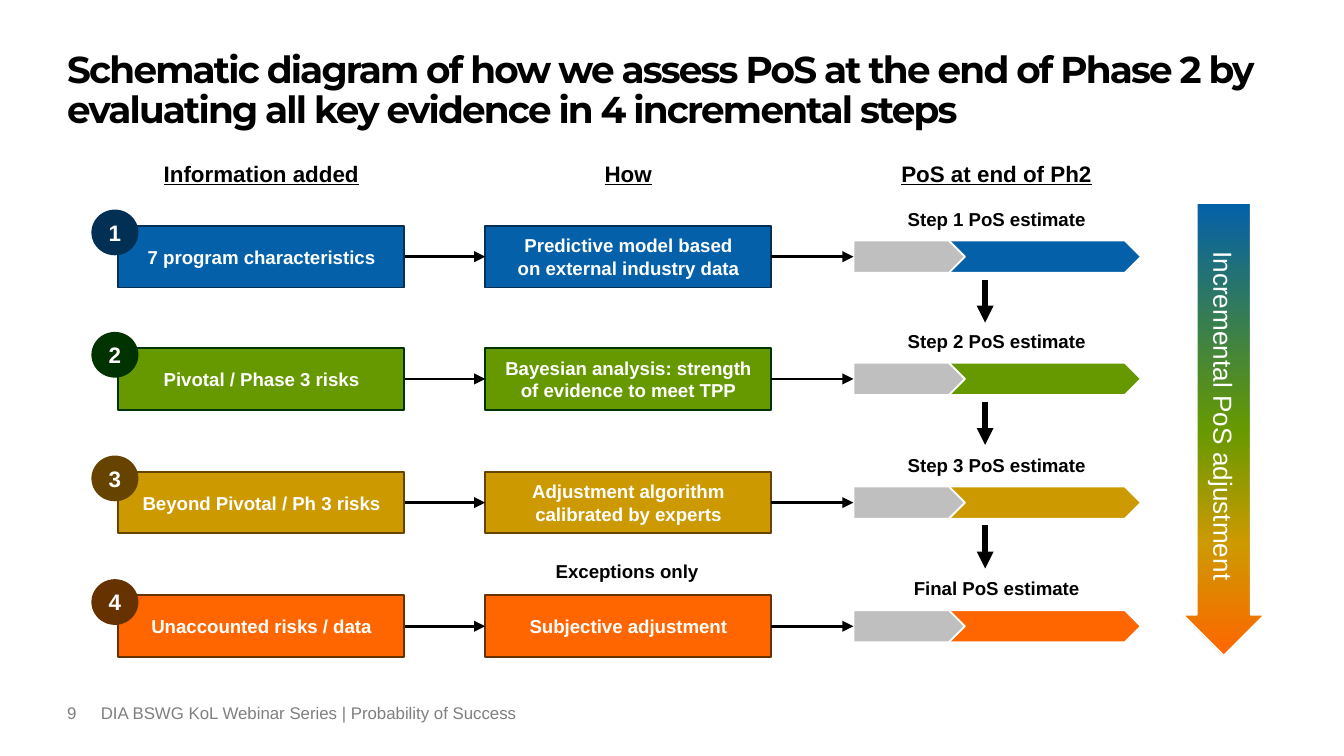
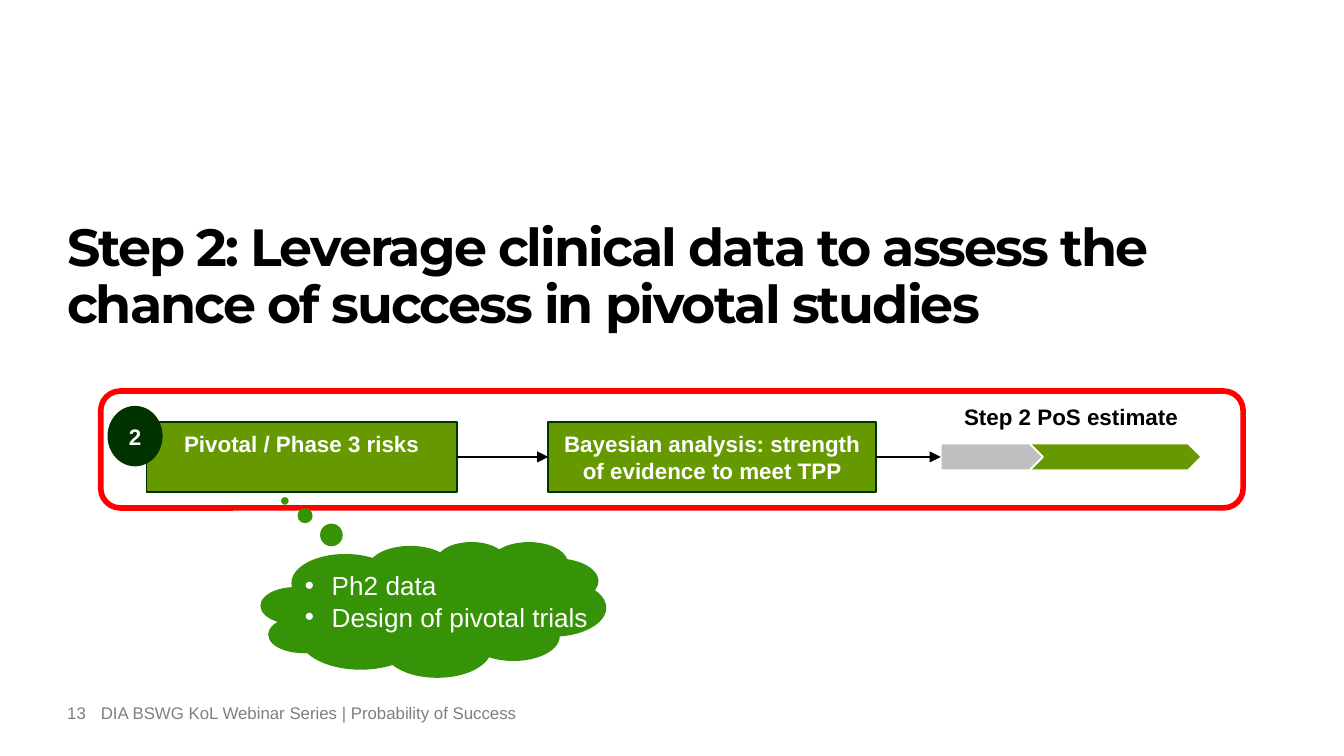
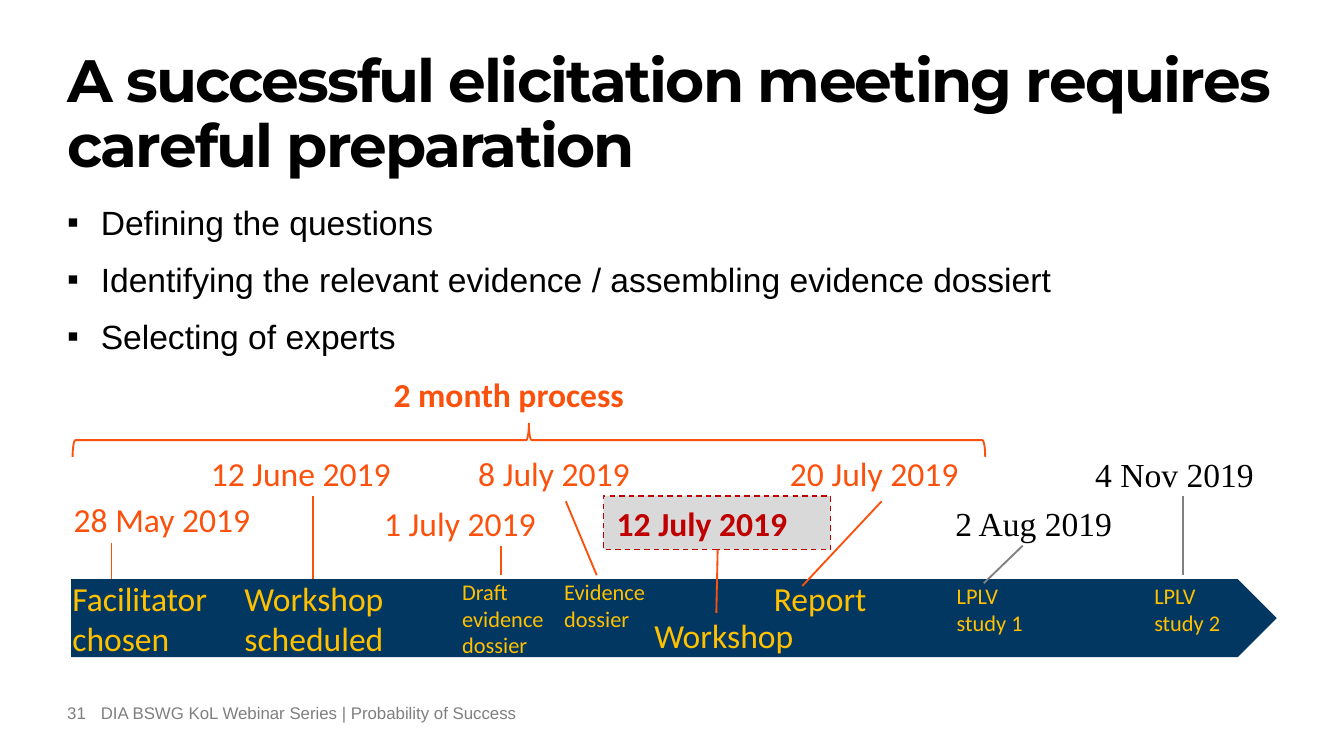
from dataclasses import dataclass
from typing import NamedTuple, Optional

from lxml.etree import SubElement
from pptx import Presentation
from pptx.dml.color import RGBColor
from pptx.enum.dml import MSO_LINE
from pptx.enum.shapes import MSO_CONNECTOR, MSO_SHAPE
from pptx.enum.text import MSO_ANCHOR, MSO_AUTO_SIZE, PP_ALIGN
from pptx.oxml.ns import qn
from pptx.util import Emu, Pt

# Shared scale, colours and text styles
EMU_PER_PX = 9144  # 100 px to the inch
PAGE_WIDTH = 1000
BLACK, WHITE, GRAY, SILVER = "000000", "FFFFFF", "7F7F7F", "BFBFBF"
BLUE, GREEN, GOLD, ORANGE = "0460A9", "669900", "CC9900", "FF6600"
FLAME, AMBER, NAVY, CRIMSON = "FB510D", "FFC000", "023761", "C00000"
FOOTER = "DIA BSWG KoL Webinar Series | Probability of Success"
TOP, MIDDLE, BOTTOM = MSO_ANCHOR.TOP, MSO_ANCHOR.MIDDLE, MSO_ANCHOR.BOTTOM
LEFT, CENTER = PP_ALIGN.LEFT, PP_ALIGN.CENTER
TITLE_ONLY, TITLE_AND_BODY = 5, 1


class Box(NamedTuple):
    left: int
    top: int
    width: int
    height: int

    def down(self, shift: int) -> "Box":
        return self._replace(top=self.top + shift)


class Insets(NamedTuple):
    across: int
    down: int


NONE, PLAIN, CARD, BADGE = Insets(0, 0), Insets(10, 5), Insets(6, 6), Insets(0, 4)


@dataclass(frozen=True)
class Style:
    size: int
    color: str = BLACK
    bold: bool = False
    font: str = "Arial"
    align: PP_ALIGN = LEFT
    underline: bool = False
    spacing: int = 0


@dataclass(frozen=True)
class Step:
    number: int
    information: str
    method: str
    estimate: str
    fill: str
    dark: str


@dataclass(frozen=True)
class StepFrame:
    badge: Box
    information: Box
    method: Box
    estimate: Box
    known: Box
    added: Box
    size: int
    anchor: MSO_ANCHOR


@dataclass(frozen=True)
class Label:
    text: str
    box: Box
    style: Style


class Leader(NamedTuple):
    x1: int
    y1: int
    x2: int
    y2: int
    color: str


STEPS = [
    Step(1, "7 program characteristics",
         "Predictive model based\non external industry data",
         "Step 1 PoS estimate", BLUE, "023054"),
    Step(2, "Pivotal / Phase 3 risks",
         "Bayesian analysis: strength\nof evidence to meet TPP",
         "Step 2 PoS estimate", GREEN, "003300"),
    Step(3, "Beyond Pivotal / Ph 3 risks",
         "Adjustment algorithm\ncalibrated by experts",
         "Step 3 PoS estimate", GOLD, "664400"),
    Step(4, "Unaccounted risks / data", "Subjective adjustment",
         "Final PoS estimate", ORANGE, "663300"),
]


# Helpers
def px(length: int) -> Emu:
    return Emu(length * EMU_PER_PX)


def rgb(color: str) -> RGBColor:
    return RGBColor.from_string(color)


def place(shape, box: Box) -> None:
    shape.left, shape.top, shape.width, shape.height = map(px, box)


def write(shape, text: str, style: Style, anchor: MSO_ANCHOR = TOP,
          insets: Insets = NONE, wrap: bool = True) -> None:
    frame = shape.text_frame
    frame.text = text
    frame.word_wrap = wrap
    frame.auto_size = MSO_AUTO_SIZE.NONE if wrap else MSO_AUTO_SIZE.SHAPE_TO_FIT_TEXT
    frame.vertical_anchor = anchor
    frame.margin_left = frame.margin_right = px(insets.across)
    frame.margin_top = frame.margin_bottom = px(insets.down)
    for para in frame.paragraphs:
        para.alignment = style.align
        for span in para.runs:
            font = span.font
            font.name, font.size, font.bold = style.font, Pt(style.size), style.bold
            font.color.rgb = rgb(style.color)
            if style.underline:
                font.underline = True
            if style.spacing:
                span._r.get_or_add_rPr().set("spc", str(style.spacing * 100))


def add_text(page, box: Box, text: str, style: Style, anchor: MSO_ANCHOR = TOP,
             insets: Insets = NONE, wrap: bool = True) -> None:
    write(page.shapes.add_textbox(*map(px, box)), text, style, anchor, insets, wrap)


def add_block(page, kind: MSO_SHAPE, box: Box, fill: Optional[str] = None,
              line: Optional[str] = None, weight: float = 1):
    shape = page.shapes.add_shape(kind, *map(px, box))
    shape.shadow.inherit = False
    if fill:
        shape.fill.solid()
        shape.fill.fore_color.rgb = rgb(fill)
    else:
        shape.fill.background()
    if line:
        shape.line.color.rgb = rgb(line)
        shape.line.width = Pt(weight)
    else:
        shape.line.fill.background()
    return shape


def add_line(page, x1: int, y1: int, x2: int, y2: int, color: str = BLACK,
             weight: float = 1, arrow: bool = False):
    line = page.shapes.add_connector(MSO_CONNECTOR.STRAIGHT, *map(px, (x1, y1, x2, y2)))
    line.line.color.rgb = rgb(color)
    line.line.width = Pt(weight)
    properties = line._element.spPr
    if arrow:
        SubElement(properties.find(qn("a:ln")), qn("a:tailEnd"), type="triangle")
    SubElement(properties, qn("a:effectLst"))
    return line


def join(page, source, target) -> None:
    arrow = add_line(page, 0, 0, 0, 0, weight=1.5, arrow=True)
    arrow.begin_connect(source, 3)
    arrow.end_connect(target, 1)


def add_bullets(shape, symbol: str, indent: int, gap: int = 0) -> None:
    for index, para in enumerate(shape.text_frame.paragraphs):
        properties = para._p.get_or_add_pPr()
        properties.set("marL", str(px(indent)))
        properties.set("indent", str(px(-indent)))
        SubElement(properties, qn("a:buFont"), typeface="Arial")
        SubElement(properties, qn("a:buChar"), char=symbol)
        para.space_before = Pt(gap if index else 0)


def set_gradient(shape, stops: list[tuple[int, str]]) -> None:
    shape.fill.gradient()
    shape.fill.gradient_angle = 0
    stop_list = shape._element.spPr.find(qn("a:gradFill")).find(qn("a:gsLst"))
    stop_list.clear()
    for percent, color in stops:
        stop = SubElement(stop_list, qn("a:gs"), pos=str(percent * 1000))
        SubElement(stop, qn("a:srgbClr"), val=color)


def new_page(deck, layout: int, number: int, title: str, size: int, box: Box):
    page = deck.slides.add_slide(deck.slide_layouts[layout])
    heading = page.shapes.title
    place(heading, box)
    write(heading, title, Style(size, bold=True, font="Montserrat", spacing=-1))
    heading.text_frame.paragraphs[0].line_spacing = 0.9
    small = Style(9, GRAY)
    add_text(page, Box(50, 523, 25, 25), str(number), small)
    add_text(page, Box(75, 523, 415, 25), FOOTER, small)
    return page


def draw_step(page, step: Step, frame: StepFrame, shift: int = 0) -> None:
    caption = Style(frame.size, WHITE, bold=True, align=CENTER)
    cards = []
    for box, text in ((frame.information, step.information), (frame.method, step.method)):
        card = add_block(page, MSO_SHAPE.RECTANGLE, box.down(shift), step.fill, step.dark)
        write(card, text, caption, frame.anchor, CARD)
        cards.append(card)
    add_block(page, MSO_SHAPE.PENTAGON, frame.added.down(shift), step.fill, WHITE)
    known = add_block(page, MSO_SHAPE.PENTAGON, frame.known.down(shift), SILVER, WHITE)
    join(page, cards[0], cards[1])
    join(page, cards[1], known)
    add_text(page, frame.estimate.down(shift), step.estimate,
             Style(frame.size, bold=True, align=CENTER), BOTTOM, PLAIN)
    badge = add_block(page, MSO_SHAPE.OVAL, frame.badge.down(shift), step.dark)
    write(badge, str(step.number), Style(12, WHITE, bold=True, align=CENTER), MIDDLE, BADGE)


# Slide 1: four incremental steps
def build_schematic(deck) -> None:
    page = new_page(deck, TITLE_ONLY, 9,
                    "Schematic diagram of how we assess PoS at the end of Phase 2 by "
                    "evaluating all key evidence in 4 incremental steps",
                    20, Box(50, 38, 900, 105))
    columns = (88, 361, 635)
    headings = ("Information added", "How", "PoS at end of Ph2")
    for left, text in zip(columns, headings):
        add_text(page, Box(left, 115, 213, 28), text,
                 Style(12, bold=True, align=CENTER, underline=True), BOTTOM, Insets(4, 4))

    frame = StepFrame(
        badge=Box(68, -12, 35, 34), information=Box(columns[0], 0, 213, 46),
        method=Box(columns[1], 0, 213, 46), estimate=Box(columns[2], -19, 213, 27),
        known=Box(columns[2], 11, 83, 24), added=Box(701, 11, 148, 24),
        size=10, anchor=MIDDLE)
    for index, step in enumerate(STEPS):
        top = 168 + index * 275 // 3
        draw_step(page, step, frame, top)
        if step is not STEPS[-1]:
            add_line(page, 733, top + 40, 733, top + 72, weight=3, arrow=True)
    add_text(page, Box(361, 411, 211, 27), "Exceptions only",
             Style(10, bold=True, align=CENTER), BOTTOM, PLAIN)

    # Gradient arrow down the right side
    arrow = add_block(page, MSO_SHAPE.RIGHT_ARROW, Box(742, 289, 337, 61), BLUE, WHITE)
    arrow.rotation = 90
    arrow.adjustments[0] = 0.66
    arrow.adjustments[1] = 0.5
    set_gradient(arrow, [(0, BLUE), (50, GREEN), (75, GOLD), (100, ORANGE)])
    write(arrow, "Incremental PoS adjustment", Style(14, WHITE, align=CENTER), MIDDLE, PLAIN)


# Slide 2: the second step on its own
def build_step_two(deck) -> None:
    page = new_page(deck, TITLE_ONLY, 13,
                    "Step 2: Leverage clinical data to assess the chance of success "
                    "in pivotal studies", 28, Box(50, 165, 900, 120))
    draw_step(page, STEPS[1], StepFrame(
        badge=Box(80, 302, 41, 45), information=Box(109, 314, 231, 52),
        method=Box(408, 314, 244, 52), estimate=Box(700, 285, 194, 40),
        known=Box(700, 330, 76, 20), added=Box(759, 330, 135, 20),
        size=12, anchor=TOP))
    add_block(page, MSO_SHAPE.ROUNDED_RECTANGLE, Box(75, 291, 850, 87),
              line="FF0000", weight=3)

    # Thought cloud
    cloud = add_block(page, MSO_SHAPE.CLOUD_CALLOUT, Box(194, 403, 257, 101), "369307")
    cloud.adjustments[0] = -0.43
    cloud.adjustments[1] = -0.8
    thoughts = page.shapes.add_textbox(*map(px, Box(217, 419, 233, 57)))
    write(thoughts, "Ph2 data\nDesign of pivotal trials", Style(14, WHITE), insets=PLAIN)
    add_bullets(thoughts, "•", 20)


# Slide 3: preparation timeline
def build_timeline(deck) -> None:
    page = new_page(deck, TITLE_AND_BODY, 31,
                    "A successful elicitation meeting requires careful preparation",
                    32, Box(50, 38, 900, 105))
    body = page.placeholders[1]
    place(body, Box(50, 150, 900, 340))
    write(body, "Defining the questions\n"
                "Identifying the relevant evidence / assembling evidence dossiert\n"
                "Selecting of experts", Style(18))
    add_bullets(body, "▪", 25, gap=9)

    add_block(page, MSO_SHAPE.PENTAGON, Box(53, 431, 897, 58), NAVY)
    workshop_date = add_block(page, MSO_SHAPE.RECTANGLE, Box(449, 369, 169, 40),
                              "D9D9D9", CRIMSON, 0.75)
    workshop_date.line.dash_style = MSO_LINE.DASH
    write(workshop_date, "12 July 2019", Style(18, CRIMSON, True, "Calibri"),
          insets=PLAIN, wrap=False)
    brace = add_block(page, MSO_SHAPE.RIGHT_BRACE, Box(381, -12, 25, 679), line=FLAME)
    brace.rotation = 270

    # Leader lines from dates to milestones
    for leader in (
        Leader(83, 404, 83, 431, FLAME),
        Leader(233, 369, 233, 431, FLAME),
        Leader(373, 406, 373, 428, FLAME),
        Leader(421, 373, 444, 428, FLAME),
        Leader(534, 409, 533, 456, FLAME),
        Leader(656, 373, 597, 436, FLAME),
        Leader(761, 406, 732, 434, "808080"),
        Leader(880, 369, 880, 428, "808080"),
    ):
        add_line(page, *leader)

    # Dates and milestones
    date = Style(18, FLAME, font="Calibri")
    later = Style(18, font="Times New Roman")
    milestone = Style(18, AMBER, font="Calibri")
    detail = Style(12, AMBER, font="Calibri")
    for label in (
        Label("2 month process", Box(283, 273, 222, 40), Style(18, FLAME, True, "Calibri")),
        Label("28 May 2019", Box(45, 366, 166, 40), date),
        Label("12 June 2019", Box(147, 332, 173, 40), date),
        Label("1 July 2019", Box(276, 369, 149, 40), date),
        Label("8 July 2019", Box(346, 332, 149, 40), date),
        Label("20 July 2019", Box(578, 332, 163, 40), date),
        Label("2 Aug 2019", Box(701, 369, 148, 40), later),
        Label("4 Nov 2019", Box(805, 333, 149, 40), later),
        Label("Facilitator\vchosen", Box(44, 425, 130, 71), milestone),
        Label("Workshop\vscheduled", Box(172, 425, 135, 71), milestone),
        Label("Workshop", Box(477, 453, 133, 40), milestone),
        Label("Report", Box(566, 425, 96, 40), milestone),
        Label("Draft\vevidence\vdossier", Box(334, 425, 92, 71), detail),
        Label("Evidence\vdossier", Box(410, 425, 94, 50), detail),
        Label("LPLV\vstudy 1", Box(702, 428, 74, 50), detail),
        Label("LPLV\vstudy 2", Box(849, 428, 74, 50), detail),
    ):
        # The frame text turns a vertical tab into a line break
        add_text(page, label.box, label.text, label.style, insets=PLAIN, wrap=False)


def main() -> None:
    deck = Presentation()
    deck.slide_width = px(PAGE_WIDTH)
    deck.slide_height = Emu(deck.slide_width * 9 // 16)
    build_schematic(deck)
    build_step_two(deck)
    build_timeline(deck)
    deck.save("out.pptx")


if __name__ == "__main__":
    main()
